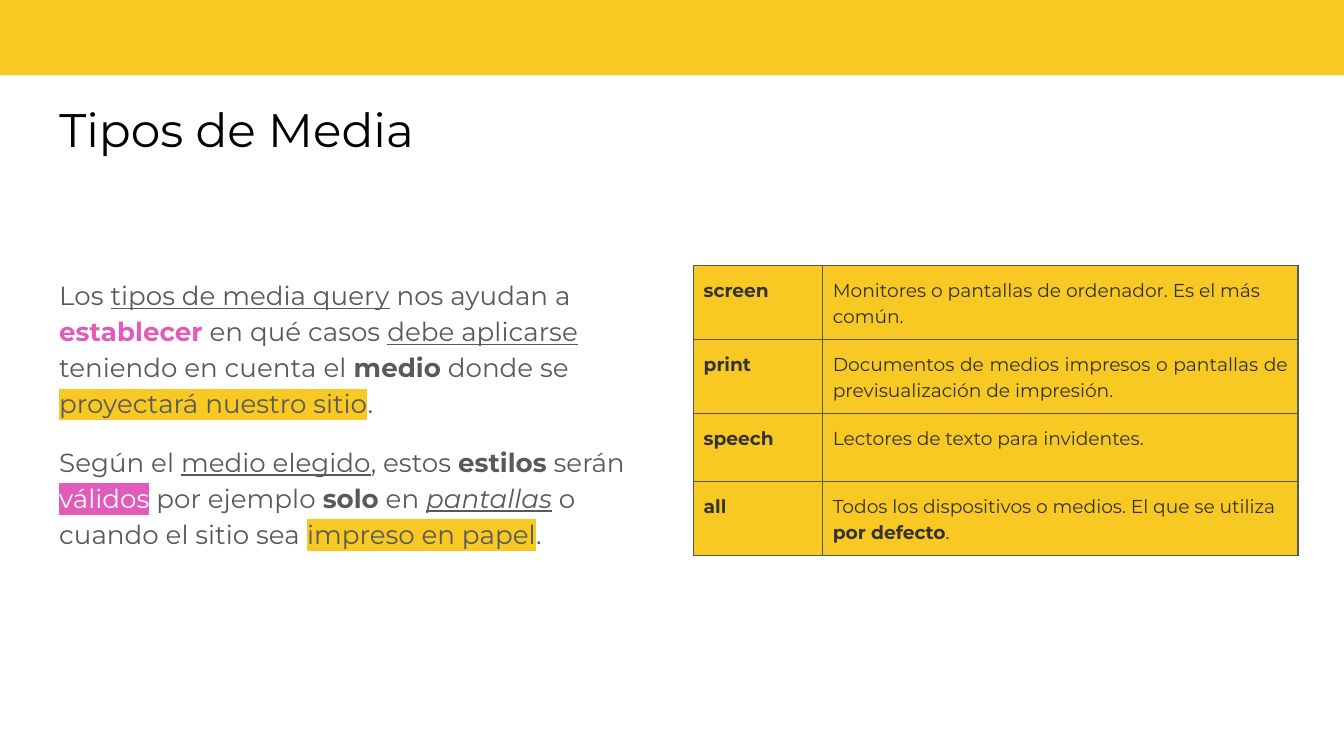
from lxml import etree
from pptx import Presentation
from pptx import util as u
from pptx.dml.color import RGBColor
from pptx.enum import shapes, text
from pptx.oxml.ns import qn

GOLD, PINK, GREY, DARK = "F8C823", "E15BBA", "595959", "333333"


def paint(fmt, color):
    """Give a fill, or the fill of a font, a solid colour."""
    fmt.solid()
    fmt.fore_color.rgb = RGBColor.from_string(color)


def put(par, words, size=14, color=GREY, bold=False, italic=False,
        under=False, mark=None):
    """Add a formatted run; mark is the highlight colour."""
    run = par.add_run()
    run.text = words
    font = run.font
    font.name, font.size = "Montserrat", u.Pt(size)
    font.bold, font.italic, font.underline = bold, italic, under
    paint(font.fill, color)
    if mark:
        light = etree.Element(qn("a:highlight"))
        etree.SubElement(light, qn("a:srgbClr"), val=mark)
        run._r.rPr.find(qn("a:latin")).addprevious(light)


deck = Presentation()
deck.slide_width, deck.slide_height = u.Cm(25.4), u.Cm(14.29)
slide = deck.slides.add_slide(deck.slide_layouts[5])

# Top band
band = slide.shapes.add_shape(shapes.MSO_SHAPE.RECTANGLE, u.Cm(-0.03),
                              u.Cm(-0.13), u.Cm(25.48), u.Cm(1.55))
band.shadow.inherit = False
paint(band.fill, GOLD)
band.line.fill.background()

# Title and body frames
title = slide.shapes.title
title.left, title.top = u.Cm(0.87), u.Cm(1.65)
title.width, title.height = u.Cm(23.67), u.Cm(1.6)
body = slide.shapes.add_textbox(u.Cm(0.87), u.Cm(4.95), u.Cm(12.07), u.Cm(5.67))
for box in (title, body):
    frame = box.text_frame
    frame.word_wrap = True
    frame.auto_size = text.MSO_AUTO_SIZE.NONE
    frame.vertical_anchor = text.MSO_ANCHOR.TOP
    frame.margin_left = frame.margin_right = u.Cm(0.25)
    frame.margin_top = frame.margin_bottom = u.Cm(0.25)

head = title.text_frame.paragraphs[0]
head.alignment = text.PP_ALIGN.LEFT
put(head, "Tipos de Media", size=25.2, color="000000")

# Body paragraphs
line, strong, gold = {"under": True}, {"bold": True}, {"mark": GOLD}
paras = [
    [("Los ", {}), ("tipos de media query", line), (" nos ayudan a ", {}),
     ("establecer", {"bold": True, "color": PINK}), (" en qué casos ", {}),
     ("debe aplicarse", line), (" teniendo en cuenta el ", {}),
     ("medio", strong), (" donde se ", {}),
     ("proyectará nuestro sitio", gold), (".", {})],
    [("Según el ", {}), ("medio elegido", line), (", estos ", {}),
     ("estilos", strong), (" serán ", {}),
     ("válidos", {"color": "F9F9F9", "mark": PINK}), (" por ejemplo ", {}),
     ("solo", strong), (" en ", {}),
     ("pantallas", {"italic": True, "under": True}),
     (" o cuando el sitio sea ", {}), ("impreso en papel", gold), (".", {})],
]
for i, runs in enumerate(paras):
    par = body.text_frame.paragraphs[0] if i == 0 else body.text_frame.add_paragraph()
    par.line_spacing = 1.15
    if i:
        par.space_before = par.space_after = u.Pt(12)
    for words, fmt in runs:
        put(par, words, **fmt)

# Media table
rows = [
    ("screen", [("Monitores o pantallas de ordenador. Es el más común.", {})]),
    ("print", [("Documentos de medios impresos o pantallas de "
                "previsualización de impresión.", {})]),
    ("speech", [("Lectores de texto para invidentes.", {})]),
    ("all", [("Todos los dispositivos o medios. El que se utiliza ", {}),
             ("por defecto", strong), (".", {})]),
]
wide, high = (2.44, 8.99), (1.4, 1.4, 1.28, 1.4)
grid = slide.shapes.add_table(len(rows), 2, u.Cm(13.1), u.Cm(5.02),
                              u.Cm(sum(wide)), u.Cm(sum(high))).table
for col, size in zip(grid.columns, wide):
    col.width = u.Cm(size)
for row, size in zip(grid.rows, high):
    row.height = u.Cm(size)

just = {(1, 1), (2, 0)}
for r, (name, runs) in enumerate(rows):
    for c, parts in enumerate(([(name, strong)], runs)):
        cell = grid.cell(r, c)
        cell.margin_left = cell.margin_right = u.Cm(0.2)
        cell.margin_top = cell.margin_bottom = u.Cm(0.2)
        props = cell._tc.get_or_add_tcPr()
        for side in "LRTB":
            edge = etree.SubElement(props, qn(f"a:ln{side}"), w=str(u.Pt(0.75)))
            solid = etree.SubElement(edge, qn("a:solidFill"))
            etree.SubElement(solid, qn("a:srgbClr"), val=GREY)
        paint(cell.fill, GOLD)
        par = cell.text_frame.paragraphs[0]
        par.line_spacing = 1.15
        if (r, c) in just:
            par.alignment = text.PP_ALIGN.JUSTIFY
        for words, fmt in parts:
            put(par, words, size=10, color=DARK, **fmt)

deck.save("out.pptx")
